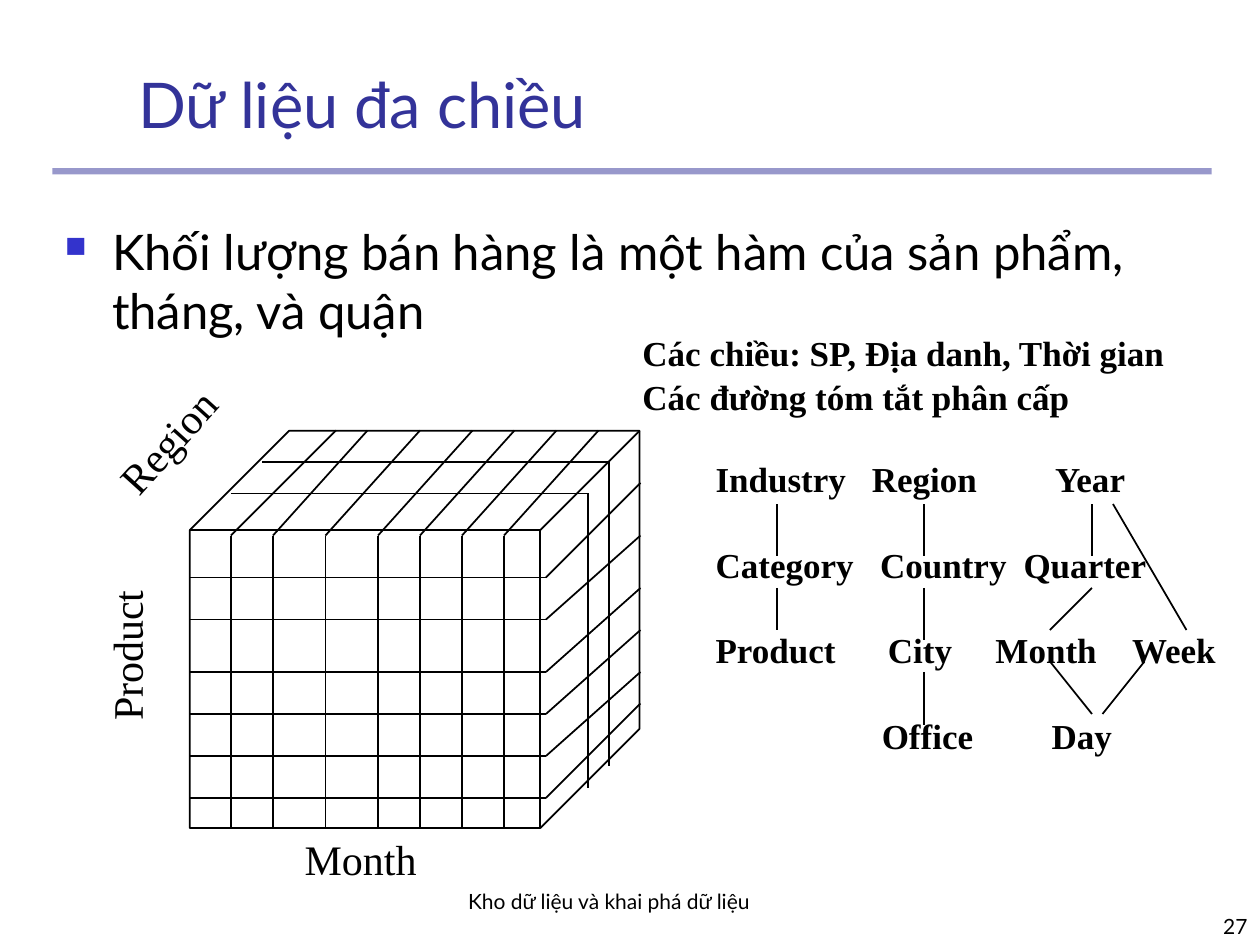
"""Build a slide on multidimensional data: a sales cube and its hierarchies."""
from typing import NamedTuple

from lxml.etree import SubElement
from pptx import Presentation
from pptx.dml.color import RGBColor
from pptx.enum.shapes import MSO_CONNECTOR, MSO_SHAPE
from pptx.enum.text import MSO_ANCHOR, MSO_AUTO_SIZE, PP_ALIGN
from pptx.oxml.ns import qn
from pptx.util import Pt

BLACK = RGBColor(0, 0, 0)
NAVY = RGBColor(0x33, 0x33, 0x99)
BLUE = RGBColor(0x33, 0x33, 0xCC)
SANS = "Lato"
SERIF = "Times New Roman"


class Box(NamedTuple):
    left: float
    top: float
    width: float
    height: float


class Line(NamedTuple):
    x1: float
    y1: float
    x2: float
    y2: float


class Label(NamedTuple):
    text: str
    box: Box
    turn: float


class Row(NamedTuple):
    words: tuple[str, ...]
    stops: tuple[float, ...]


LABELS = (
    Label("Product", Box(27.4, 356.4, 89.3, 36), 270),
    Label("Region", Box(54, 234, 83.5, 36), 312),
    Label("Month", Box(167, 473, 78.5, 36), 0),
)
ROWS = (
    Row(("Industry", "Region", "Year"), (89.3, 194)),
    Row(("Category", "Country", "Quarter"), (94, 176)),
    Row(("Product", "City", "Month", "Week"), (98.5, 160, 238)),
    Row(("", "Office", "Day"), (95, 192)),
)
TREE = (
    Line(444, 288, 444, 318), Line(444, 336, 444, 360),
    Line(528, 288, 528, 318), Line(528, 336, 528, 366),
    Line(528, 384, 528, 414), Line(624, 288, 624, 318),
    Line(624, 336, 600, 360), Line(636, 288, 678, 360),
    Line(600, 378, 624, 408), Line(654, 378, 630, 408),
)
COLS = (132, 156, 186, 216, 240, 264, 288)
TIERS = {330: 276, 354: 306, 384: 336, 408: 360, 432: 384, 456: 402}
SLICES = (Box(150, 264, 198, 174), Box(132, 282, 204, 168))


def place(shape, box: Box) -> None:
    """Move and size a shape."""
    shape.left, shape.top, shape.width, shape.height = map(Pt, box)


def write(shape, text: str, *, size: float, font: str = SANS, color=BLACK,
          bold=False, align=PP_ALIGN.LEFT, anchor=MSO_ANCHOR.TOP, wrap=True,
          after: float = 0, foot: float = 3.6) -> None:
    """Fill a shape with formatted text, one paragraph per line."""
    frame = shape.text_frame
    frame.text = text
    frame.auto_size = MSO_AUTO_SIZE.NONE
    frame.word_wrap = wrap
    frame.vertical_anchor = anchor
    frame.margin_bottom = Pt(foot)
    for para in frame.paragraphs:
        para.alignment = align
        para.space_before = Pt(0)
        para.space_after = Pt(after)
        para.font.size = Pt(size)
        for run in para.runs:
            run.font.name = font
            run.font.size = Pt(size)
            run.font.bold = bold
            run.font.color.rgb = color


def add_text(slide, text: str, box: Box, **style):
    """Add a text box."""
    shape = slide.shapes.add_textbox(*map(Pt, box))
    write(shape, text, **style)
    return shape


def add_line(slide, line: Line) -> None:
    """Add a thin black line."""
    link = slide.shapes.add_connector(MSO_CONNECTOR.STRAIGHT, *map(Pt, line))
    link.line.color.rgb = BLACK
    link.line.width = Pt(1)
    SubElement(link._element.spPr, qn("a:effectLst"))


def add_rule(slide) -> None:
    """Add the half-clear bar below the title."""
    bar = slide.shapes.add_shape(
        MSO_SHAPE.RECTANGLE, *map(Pt, Box(30, 96, 662.4, 3.6)))
    bar.shadow.inherit = False
    bar.fill.solid()
    bar.fill.fore_color.rgb = NAVY
    bar.line.fill.background()
    tint = bar._element.spPr.find(".//" + qn("a:srgbClr"))
    SubElement(tint, qn("a:alpha"), val="50000")


def add_point(slide, text: str, box: Box) -> None:
    """Add a text box with a square bullet."""
    shape = add_text(slide, text, box, size=28)
    para = shape.text_frame.paragraphs[0]
    para.space_before = Pt(7)
    props = para._p.get_or_add_pPr()
    props.set("marL", str(Pt(27)))
    props.set("indent", str(-Pt(27)))
    tint = SubElement(props, qn("a:buClr"))
    SubElement(tint, qn("a:srgbClr"), val=str(BLUE))
    SubElement(props, qn("a:buSzPct"), val="60000")
    SubElement(props, qn("a:buChar"), char="■")


def add_cube(slide) -> None:
    """Add the cube with its grid and inner slices."""
    cube = slide.shapes.add_shape(
        MSO_SHAPE.CUBE, *map(Pt, Box(108.5, 246.2, 257, 227)))
    cube.shadow.inherit = False
    cube.fill.background()
    cube.line.color.rgb = BLACK
    cube.line.width = Pt(1)
    for x in COLS:
        add_line(slide, Line(x, 306, x, 474))
        add_line(slide, Line(x, 306, x + (60 if x == COLS[0] else 54), 246))
    for y, end in TIERS.items():
        add_line(slide, Line(108, y, 312, y))
        add_line(slide, Line(312, y, 366, end))
    for left, top, width, height in SLICES:
        right = left + width
        add_line(slide, Line(left, top, right, top))
        add_line(slide, Line(right, top, right, top + height))


def add_tree(slide) -> None:
    """Add the level names on tab stops and the lines between them."""
    text = "\n".join("\t".join(row.words) for row in ROWS)
    shape = add_text(slide, text, Box(401.8, 257.8, 310, 176), size=20,
                     font=SERIF, bold=True, after=25)
    for para, row in zip(shape.text_frame.paragraphs, ROWS):
        tabs = SubElement(para._p.get_or_add_pPr(), qn("a:tabLst"))
        for stop in row.stops:
            SubElement(tabs, qn("a:tab"), pos=str(Pt(stop)), algn="l")
    for line in TREE:
        add_line(slide, line)


def main() -> None:
    """Build and save the deck."""
    deck = Presentation()
    deck.slide_width, deck.slide_height = Pt(720), Pt(540)
    slide = deck.slides.add_slide(deck.slide_layouts[5])
    title = slide.shapes.title
    place(title, Box(72, 30, 613.4, 54))
    write(title, "Dữ liệu đa chiều", size=36, color=NAVY,
          anchor=MSO_ANCHOR.BOTTOM)
    add_rule(slide)
    add_text(slide, "Kho dữ liệu và khai phá dữ liệu",
             Box(216, 498, 264, 42), size=12, align=PP_ALIGN.CENTER,
             anchor=MSO_ANCHOR.BOTTOM, foot=18)
    add_text(slide, "27", Box(570, 504, 150, 36), size=12,
             align=PP_ALIGN.RIGHT, anchor=MSO_ANCHOR.BOTTOM)
    add_point(slide, "Khối lượng bán hàng là một hàm của sản phẩm, "
              "tháng, và quận", Box(30, 123, 654, 360))
    add_cube(slide)
    for label in LABELS:
        shape = add_text(slide, label.text, label.box, size=24, font=SERIF,
                         wrap=label.turn == 312)
        shape.rotation = label.turn
    add_text(slide, "Các chiều: SP, Địa danh, Thời gian\n"
             "Các đường tóm tắt phân cấp", Box(360, 186, 315.4, 55.4),
             size=20, font=SERIF, bold=True, wrap=False, after=1)
    add_tree(slide)
    deck.save("out.pptx")


if __name__ == "__main__":
    main()
